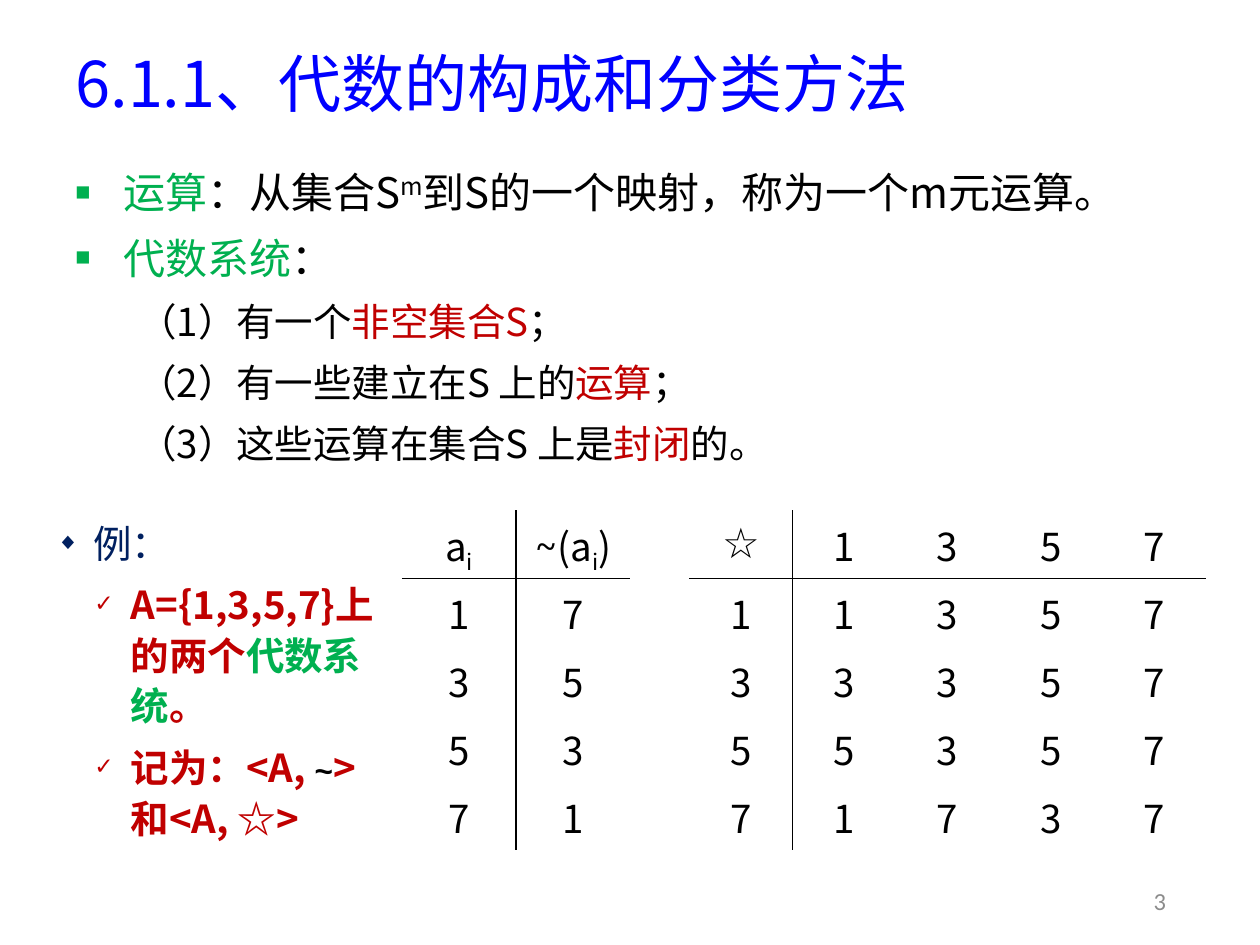
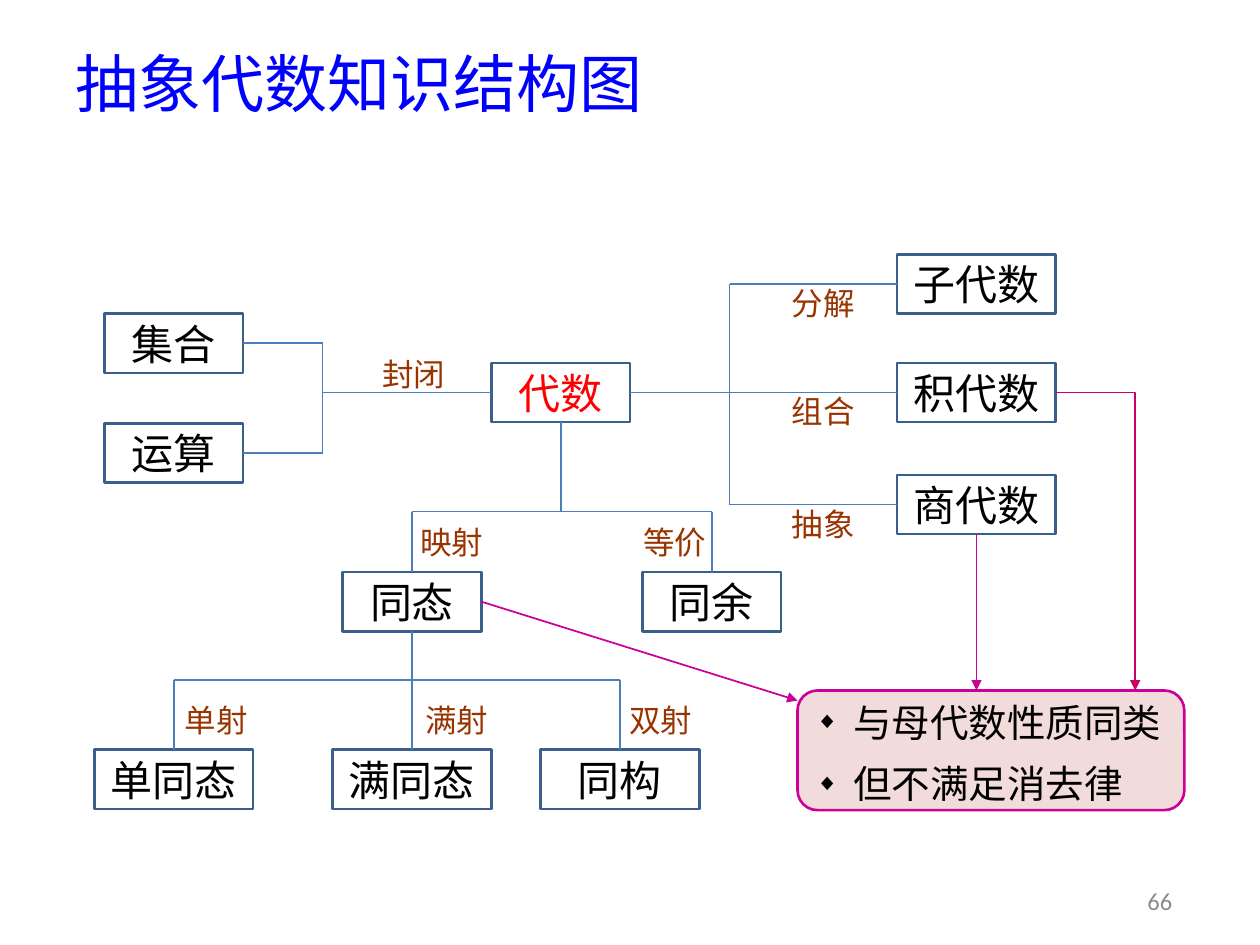
from dataclasses import dataclass

from pptx import Presentation
from pptx.dml.color import RGBColor
from pptx.enum.shapes import MSO_CONNECTOR as Connector, MSO_SHAPE as Shape
from pptx.enum.text import MSO_ANCHOR as Anchor, MSO_AUTO_SIZE as AutoSize, PP_ALIGN as Align
from pptx.oxml.ns import qn
from pptx.util import Inches, Pt
from lxml.etree import SubElement, Element

COLORS = {
    "title": "0000FF", "text": "000000", "term": "00B050", "key": "C00000",
    "example": "002060", "page": "8C8C8C", "root": "FF0000", "label": "993300",
    "node_line": "3A5F8C", "link": "4B7EBC", "arrow": "CC0099", "bent_arrow": "CC0066",
    "note_fill": "F2DCDB",
}
FONT = "Noto Sans CJK SC"
NODE_HEIGHT, SHORT, LONG = 0.47, 1.1, 1.26
TERM, KEY = {"color": "term"}, {"color": "key"}
SUB = {"baseline": -25}


@dataclass
class Box:
    left: float
    top: float
    width: float
    height: float

    def inside(self, left, top, width, height):
        return Box(self.left + left, self.top + top, width, height)

    def lengths(self):
        return [Inches(value) for value in (self.left, self.top, self.width, self.height)]

    @property
    def right(self):
        return self.left + self.width

    @property
    def bottom(self):
        return self.top + self.height

    @property
    def middle_x(self):
        return self.left + self.width / 2

    @property
    def middle_y(self):
        return self.top + self.height / 2


TITLE_BOX = Box(0.5, 0.31, 9, 0.69)
NUMBER_BOX = Box(8.91, 6.95, 0.59, 0.4)


def rgb(name):
    return RGBColor.from_string(COLORS[name])


def add_span(para, text, size=22, color="text", font=FONT, bold=False, baseline=0):
    span = para.add_run()
    span.text = text
    span.font.size, span.font.bold, span.font.name = Pt(size), bold, font
    span.font.color.rgb = rgb(color)
    properties = span.font._element
    SubElement(properties, qn("a:ea"), typeface=font)
    if baseline:
        properties.set("baseline", str(baseline * 1000))


def write(frame, *spans, align=Align.LEFT, spacing=None, before=0, after=0,
          level=0, margin=0, hang=0, bullet=None, **style):
    """Add a paragraph; each span is a string or a (string, changed style) pair."""
    para = frame.paragraphs[0]
    if para.runs:
        para = frame.add_paragraph()
    para.alignment, para.level = align, level
    para.space_before, para.space_after = Pt(before), Pt(after)
    if spacing:
        para.line_spacing = spacing
    properties = para._p.get_or_add_pPr()
    properties.set("marL", str(Inches(margin)))
    properties.set("indent", str(Inches(-hang)))
    if bullet:
        SubElement(properties, qn("a:buSzPct"), val="60000")
        SubElement(properties, qn("a:buFont"), typeface="Arial")
        SubElement(properties, qn("a:buChar"), char=bullet)
    else:
        SubElement(properties, qn("a:buNone"))
    for span in spans:
        text, changes = (span, {}) if isinstance(span, str) else span
        add_span(para, text, **{**style, **changes})


def add_text_box(page, box, anchor=Anchor.MIDDLE):
    frame = page.shapes.add_textbox(*box.lengths()).text_frame
    frame.word_wrap, frame.vertical_anchor = True, anchor
    return frame


def add_page(deck, title, number):
    page = deck.slides.add_slide(deck.slide_layouts[5])
    heading = page.shapes.title
    heading.left, heading.top, heading.width, heading.height = TITLE_BOX.lengths()
    frame = heading.text_frame
    frame.vertical_anchor, frame.auto_size = Anchor.MIDDLE, AutoSize.NONE
    write(frame, title, size=36, color="title")
    write(add_text_box(page, NUMBER_BOX), str(number), align=Align.CENTER,
          size=14, font="Calibri", color="page")
    return page


# Definitions, example and operation tables

def add_definitions(page, box):
    frame = add_text_box(page, box, Anchor.TOP)
    common = dict(spacing=1.1, before=6)
    term = dict(common, margin=0.38, hang=0.38, bullet="■", size=24)
    point = dict(common, level=1, margin=0.81, hang=0.31)
    write(frame, ("运算", TERM), "：从集合S", ("m", {"baseline": 30}),
          "到S的一个映射，称为一个m元运算。", **term)
    write(frame, ("代数系统", TERM), "：", **term)
    for start, key, end in (("（1）有一个", "非空集合S", "；"),
                            ("（2）有一些建立在S 上的", "运算", "；"),
                            ("（3）这些运算在集合S 上是", "封闭", "的。")):
        write(frame, start, (key, KEY), end, **point)


def add_example(page, box):
    frame = add_text_box(page, box)
    common = dict(spacing=1.1, after=6)
    item = dict(common, level=1, margin=0.59, hang=0.29, bullet="✓", color="key", bold=True)
    write(frame, "例：", margin=0.29, hang=0.29, bullet="◆", color="example", **common)
    write(frame, "A={1,3,5,7}上的两个", ("代数系统", TERM), "。", **item)
    write(frame, "记为：<A, ", ("~", {"size": 18, "font": "Arial", "color": "text"}),
          ">和<A, ☆>", **item)


def set_borders(cell, row, column):
    """Rule off the header row and the first column only."""
    ruled = {"lnL": column == 1, "lnR": column == 0, "lnT": row == 1, "lnB": row == 0}
    for index, (side, visible) in enumerate(ruled.items()):
        line = Element(qn("a:" + side), w=str(Pt(1)))
        fill = SubElement(line, qn("a:solidFill" if visible else "a:noFill"))
        if visible:
            SubElement(fill, qn("a:srgbClr"), val=COLORS["text"])
        cell._tc.get_or_add_tcPr().insert(index, line)


def add_operation_table(page, box, rows):
    table = page.shapes.add_table(len(rows), len(rows[0]), *box.lengths()).table
    table.first_row = table.horz_banding = False
    for column in table.columns:
        column.width = Inches(box.width / len(rows[0]))
    for row_index, values in enumerate(rows):
        table.rows[row_index].height = Inches(box.height / len(rows))
        for column_index, spans in enumerate(values):
            cell = table.cell(row_index, column_index)
            cell.vertical_anchor = Anchor.MIDDLE
            cell.fill.background()
            set_borders(cell, row_index, column_index)
            write(cell.text_frame, *spans, align=Align.CENTER)


def build_composition_page(deck):
    page = add_page(deck, "6.1.1、代数的构成和分类方法", 3)
    add_definitions(page, Box(0.5, 1.23, 9, 2.44))
    add_example(page, Box(0.35, 4.28, 2.84, 2.2))
    unary_header = [("a", ("i", SUB)),
                    (("~", {"font": "Noto Sans Mono"}), "(a", ("i", SUB), ")")]
    add_operation_table(page, Box(3.19, 4.05, 1.81, 2.7),
                        [unary_header, "17", "35", "53", "71"])
    star = ("☆", {"size": 24, "font": "Arial", "bold": True})
    add_operation_table(page, Box(5.47, 4.05, 4.1, 2.7),
                        [[(star,), *"1357"], "11357", "33357", "55357", "71737"])


# Structure diagram

def add_panel(page, kind, box, line, fill=None):
    panel = page.shapes.add_shape(kind, *box.lengths())
    panel.shadow.inherit = False
    panel.line.color.rgb, panel.line.width = rgb(line), Pt(1.5)
    if fill:
        panel.fill.solid()
        panel.fill.fore_color.rgb = rgb(fill)
    else:
        panel.fill.background()
    panel.text_frame.word_wrap = True
    panel.text_frame.vertical_anchor = Anchor.MIDDLE
    return panel.text_frame


def add_node(page, box, text, **style):
    frame = add_panel(page, Shape.RECTANGLE, box, "node_line")
    write(frame, text, align=Align.CENTER, size=24, **style)
    return box


def add_label(page, box, text):
    write(add_text_box(page, box), text, align=Align.CENTER, size=18, color="label")


def style_line(line, color, arrow=False):
    line.line.color.rgb, line.line.width = rgb(color), Pt(1)
    if arrow:
        SubElement(line.line._get_or_add_ln(), qn("a:tailEnd"), type="triangle")


def add_line(page, start, end, color="link", arrow=False):
    line = page.shapes.add_connector(Connector.STRAIGHT, *map(Inches, (*start, *end)))
    style_line(line, color, arrow)
    SubElement(line._element.spPr, qn("a:effectLst"))


def add_fork(page, trunk, bus, ends, sideways=False):
    """Join the trunk point to all ends by a bar at bus; sideways swaps x and y."""
    def link(*points):
        add_line(page, *(point[::-1] if sideways else point for point in points))

    if sideways:
        trunk, ends = trunk[::-1], [end[::-1] for end in ends]
    positions = [end[0] for end in ends]
    link(trunk, (trunk[0], bus))
    link((min(positions), bus), (max(positions), bus))
    for end in ends:
        link((end[0], bus), end)


def add_sources(page, box, algebra):
    nodes = [add_node(page, box.inside(0, top, SHORT, NODE_HEIGHT), text)
             for top, text in ((0, "集合"), (box.height - NODE_HEIGHT, "运算"))]
    add_fork(page, (algebra.left, algebra.middle_y), box.left + 1.73,
             [(node.right, node.middle_y) for node in nodes], sideways=True)
    add_label(page, box.inside(2.02, 0.24, 0.87, NODE_HEIGHT), "封闭")


def add_derived_algebras(page, box, algebra):
    nodes = []
    for top, text, label in ((0, "子代数", "分解"), (0.86, "积代数", "组合"),
                             (1.75, "商代数", "抽象")):
        nodes.append(add_node(page, box.inside(box.width - LONG, top, LONG, NODE_HEIGHT), text))
        add_label(page, box.inside(1.1, top + 0.15, 0.87, NODE_HEIGHT), label)
    add_fork(page, (algebra.right, algebra.middle_y), box.left + 0.79,
             [(node.left, node.middle_y) for node in nodes], sideways=True)
    return nodes


def add_branches(page, box, parent, bus, width, branches):
    """Place (left, text, label left, label) branches on the bottom edge of the box."""
    nodes = []
    for left, text, label_left, label in branches:
        top = box.height - NODE_HEIGHT
        nodes.append(add_node(page, box.inside(left, top, width, NODE_HEIGHT), text))
        add_label(page, box.inside(label_left, top - NODE_HEIGHT, 0.87, NODE_HEIGHT), label)
    add_fork(page, (parent.middle_x, parent.bottom), box.top + bus,
             [(node.middle_x, node.top) for node in nodes])
    return nodes


def add_conclusion(page, box, product, quotient, morphism):
    frame = add_panel(page, Shape.ROUNDED_RECTANGLE, box, "arrow", "note_fill")
    for text in ("与母代数性质同类", "但不满足消去律"):
        write(frame, text, spacing=1.1, before=6, margin=0.3, hang=0.3, bullet="◆")
    add_line(page, (quotient.middle_x, quotient.bottom), (quotient.middle_x, box.top),
             "arrow", arrow=True)
    add_line(page, (morphism.right, morphism.middle_y), (box.left, box.top + 0.08),
             "arrow", arrow=True)
    bend = product.right + 0.63
    outline = page.shapes.build_freeform(Inches(product.right), Inches(product.middle_y))
    outline.add_line_segments([(Inches(bend), Inches(product.middle_y)),
                               (Inches(bend), Inches(box.top))], close=False)
    path_shape = outline.convert_to_shape()
    path_shape.shadow.inherit = False
    path_shape.fill.background()
    style_line(path_shape, "bent_arrow", arrow=True)


def build_structure_page(deck):
    page = add_page(deck, "抽象代数知识结构图", 66)
    algebra = add_node(page, Box(3.9, 2.88, SHORT, NODE_HEIGHT), "代数",
                       color="root", font="Noto Sans CJK JP")
    add_sources(page, Box(0.83, 2.49, 3.07, 1.34), algebra)
    _, product, quotient = add_derived_algebras(page, Box(5, 2.02, 3.38, 2.22), algebra)
    morphism, _ = add_branches(
        page, Box(2.72, 3.35, 3.48, 1.66), algebra, 0.71, SHORT,
        [(0, "同态", 0.43, "映射"), (2.38, "同余", 2.2, "等价")])
    add_branches(
        page, Box(0.75, 5.01, 4.8, 1.41), morphism, 0.39, LONG,
        [(0, "单同态", 0.53, "单射"), (1.89, "满同态", 2.44, "满射"),
         (3.54, "同构", 4.06, "双射")])
    add_conclusion(page, Box(6.33, 5.48, 3.07, 0.95), product, quotient, morphism)


def main():
    deck = Presentation()
    deck.slide_width, deck.slide_height = Inches(10), Inches(7.5)
    build_composition_page(deck)
    build_structure_page(deck)
    deck.save("out.pptx")


if __name__ == "__main__":
    main()
